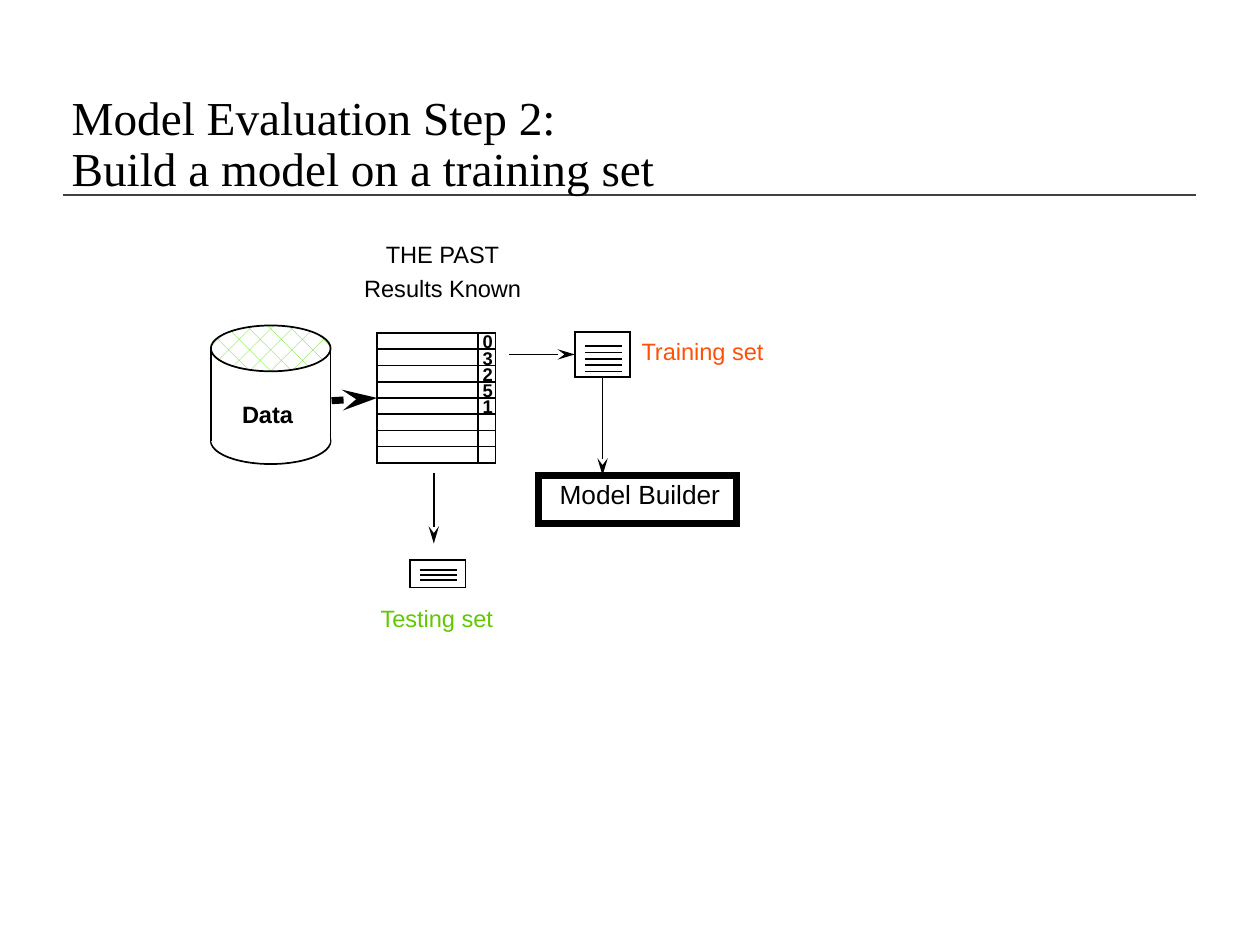
from lxml import etree
from pptx import Presentation
from pptx.dml.color import RGBColor
from pptx.enum import dml, shapes, text
from pptx.oxml.ns import qn
from pptx.util import Pt

BLACK, WHITE = "000000", "FFFFFF"
SHAPE = shapes.MSO_SHAPE


def color(hex_value):
    return RGBColor.from_string(hex_value)


def add_line(s, x1, y1, x2, y2, width=1, line_color=BLACK, arrow=False):
    c = s.shapes.add_connector(shapes.MSO_CONNECTOR.STRAIGHT,
                               Pt(x1), Pt(y1), Pt(x2), Pt(y2))
    c.line.width = Pt(width)
    c.line.color.rgb = color(line_color)
    props = c._element.spPr
    if arrow:
        etree.SubElement(props.find(qn("a:ln")), qn("a:tailEnd"),
                         type="stealth", w="med", len="lg")
    etree.SubElement(props, qn("a:effectLst"))
    return c


def add_box(s, kind, x, y, w, h, fill=None, width=1):
    sp = s.shapes.add_shape(kind, Pt(x), Pt(y), Pt(w), Pt(h))
    sp.shadow.inherit = False
    if fill:
        sp.fill.solid()
        sp.fill.fore_color.rgb = color(fill)
    else:
        sp.fill.background()
    if width:
        sp.line.width = Pt(width)
        sp.line.color.rgb = color(BLACK)
        # Square corners
        etree.SubElement(sp._element.spPr.find(qn("a:ln")), qn("a:miter"), lim="800000")
    else:
        sp.line.fill.background()
    return sp


def add_text(s, x, y, w, h, lines, size=13.5, font_color=BLACK, bold=False,
             font="Arial", wrap=False):
    tf = s.shapes.add_textbox(Pt(x), Pt(y), Pt(w), Pt(h)).text_frame
    tf.word_wrap = wrap
    tf.margin_left = tf.margin_right = Pt(5.6)
    tf.margin_top = tf.margin_bottom = Pt(2.8)
    p = tf.paragraphs[0]
    for i, line in enumerate(lines):
        if i:
            p.add_line_break()
        r = p.add_run()
        r.text = line
        r.font.name, r.font.size, r.font.bold = font, Pt(size), bold
        r.font.color.rgb = color(font_color)
    return tf


def add_title(s, x, y, w, h):
    add_line(s, x + 0.7, y + 71.3, x + 648, y + 71.3, line_color="404040")
    tf = add_text(s, x, y, w, h,
                  ["Model Evaluation Step 2:", "Build a model on a training set"],
                  size=27, font="Times New Roman", wrap=True)
    tf.vertical_anchor = text.MSO_ANCHOR.MIDDLE
    tf.paragraphs[0].line_spacing = 0.9


def add_cylinder(s, x, y, w, h):
    cap = 26.2
    add_box(s, SHAPE.OVAL, x, y + h - cap, w, cap)
    top = add_box(s, SHAPE.OVAL, x, y, w, cap)
    top.fill.patterned()
    top.fill.pattern = dml.MSO_PATTERN.DOTTED_DIAMOND
    top.fill.fore_color.rgb = color("51DC00")
    top.fill.back_color.rgb = color(WHITE)
    # White oval hides the back half of the bottom rim
    add_box(s, SHAPE.OVAL, x, y + h - cap - 1.8, w, cap + 1, WHITE, width=0)
    for side in (x, x + w):
        add_line(s, side, y + cap / 2, side, y + h - cap / 2)
    add_text(s, x + 12.2, y + 39.6, 48, 21.6, ["Data"], bold=True, wrap=True)


def add_records(s, x, y, w, h):
    # Headings above the grid
    add_text(s, x - 0.6, y - 56.2, 76.3, 21.6, ["THE PAST"])
    add_text(s, x - 13, y - 36.7, 101.5, 21.6, ["Results Known"])
    # Eight rows, with a narrow result column
    frame = add_box(s, SHAPE.RECTANGLE, x, y, w, h)
    row = h / 8
    for i in range(1, 8):
        add_line(s, x, y + i * row, x + w, y + i * row)
    add_line(s, x + 57.6, y, x + 57.6, y + h)
    for i, result in enumerate("03251"):
        add_text(s, x + 54.7, y - 4.3 + i * row, 18, 18, [result],
                 size=10.5, bold=True)
    return frame


def add_document(s, x, y, w, h, rows, first, gap):
    page = add_box(s, SHAPE.RECTANGLE, x, y, w, h)
    for i in range(rows):
        line_y = y + first + i * gap
        add_line(s, x + 5.8, line_y, x + w - 5, line_y)
    return page


def add_builder(s, x, y, w, h):
    box = add_box(s, SHAPE.RECTANGLE, x, y, w, h, WHITE, width=4)
    add_text(s, x + 6.5, y - 1.4, 107.3, 23.8, ["Model Builder"], size=15, wrap=True)
    return box


def add_flow(s, x, y):
    """Data flow, placed from the top left corner of the cylinder."""
    add_cylinder(s, x, y, 68.4, 79.2)
    records = add_records(s, x + 95, y + 4.3, 67.7, 74.2)
    training = add_document(s, x + 208, y + 3.6, 31.7, 25.9, 5, 8.3, 3.6)
    add_text(s, x + 240.5, y + 3.6, 81.4, 21.6, ["Training set"], font_color="FF5008")
    builder = add_builder(s, x + 187.2, y + 85.7, 113, 27.4)

    # Testing set below the records
    add_document(s, x + 113.8, y + 133.9, 31.7, 15.8, 3, 5.8, 2.9)
    add_text(s, x + 91.4, y + 156.2, 76.3, 21.6, ["Testing set"], font_color="60C900")

    # Arrows between the parts
    add_line(s, x + 69, y + 43, x + 95, y + 41.4, width=4,
             arrow=True).end_connect(records, 1)
    add_line(s, x + 170.4, y + 16.55, x + 208, y + 16.55,
             arrow=True).end_connect(training, 1)
    down = x + 208 + 31.7 / 2
    add_line(s, down, y + 29.5, down, builder.top.pt,
             arrow=True).begin_connect(training, 2)
    add_line(s, x + 127.4, y + 84.2, x + 127.4, y + 124.6, arrow=True)


def main():
    prs = Presentation()
    prs.slide_width, prs.slide_height = Pt(720), Pt(540)
    s = prs.slides.add_slide(prs.slide_layouts[6])
    add_title(s, 35.3, 40.3, 658.8, 85.7)
    add_flow(s, 120.5, 186)
    prs.save("out.pptx")


if __name__ == "__main__":
    main()
